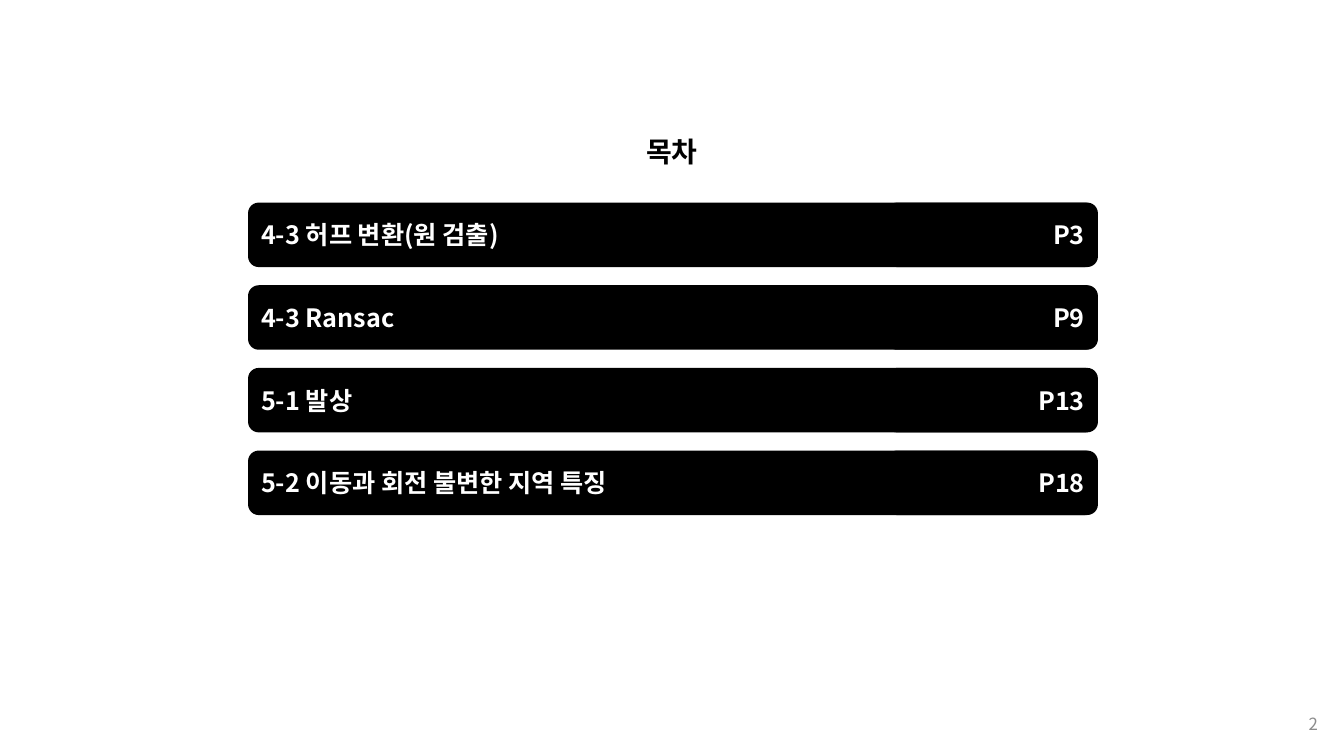
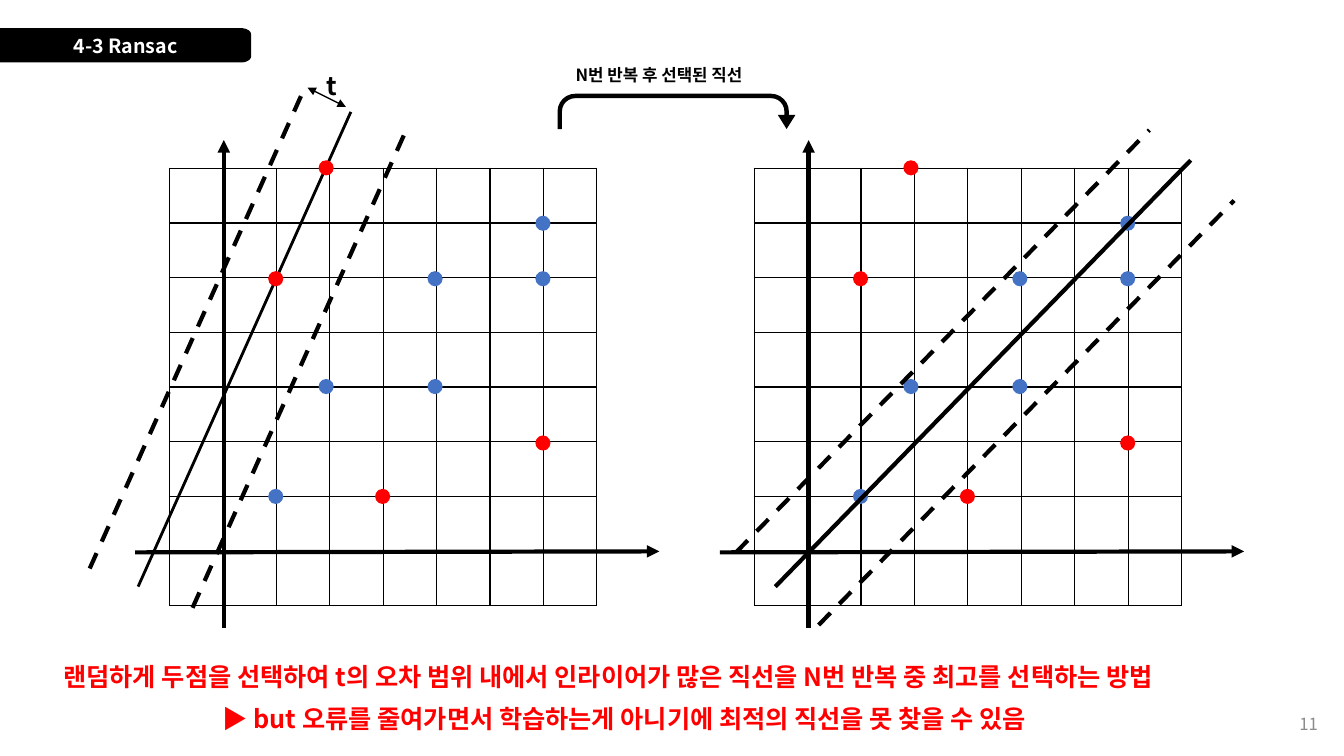
import math
from dataclasses import dataclass

from lxml import etree
from pptx import Presentation, util as u
from pptx.dml.color import RGBColor
from pptx.enum import dml, shapes, text
from pptx.oxml.ns import qn


@dataclass(frozen=True)
class Theme:
    font: str = "Noto Sans CJK KR"
    black: str = "000000"
    white: str = "FFFFFF"
    red: str = "FF0000"
    blue: str = "4472C4"
    grey: str = "8C8C8C"
    title: int = 20
    body: int = 18
    tab: int = 14
    small: int = 12


theme = Theme()
SHAPE = shapes.MSO_SHAPE
ALIGN = text.PP_ALIGN
ANCHOR = text.MSO_ANCHOR


def style(box, words="", size=theme.body, color=theme.black, bold=True,
          align=ALIGN.LEFT, anchor=ANCHOR.MIDDLE, fill=None):
    box.shadow.inherit = False
    box.line.fill.background()
    if fill:
        box.fill.solid()
        box.fill.fore_color.rgb = RGBColor.from_string(fill)
    if words:
        frame = box.text_frame
        frame.word_wrap = True
        frame.vertical_anchor = anchor
        para = frame.paragraphs[0]
        para.alignment = align
        span = para.add_run()
        span.text = words
        span.font.size = u.Pt(size)
        span.font.bold = bold
        span.font.color.rgb = RGBColor.from_string(color)
        span.font.name = theme.font
        etree.SubElement(span.font._element, qn("a:ea"), typeface=theme.font)
    return box


def draw_line(page, start, end, width=3, dashed=False, arrows=()):
    line = page.shapes.add_connector(
        shapes.MSO_CONNECTOR.STRAIGHT, *map(u.Inches, (*start, *end)))
    line.line.width = u.Pt(width)
    line.line.color.rgb = RGBColor.from_string(theme.black)
    if dashed:
        line.line.dash_style = dml.MSO_LINE.DASH
    properties = line._element.spPr
    for arrow in arrows:
        etree.SubElement(properties.find(qn("a:ln")), qn(arrow), type="triangle")
    etree.SubElement(properties, qn("a:effectLst"))


deck = Presentation()
deck.slide_width = u.Inches(13.33)
deck.slide_height = u.Inches(7.5)
contents, ransac = [deck.slides.add_slide(deck.slide_layouts[6]) for _ in range(2)]

bar_left, bar_width, bar_height = u.Inches(2.46), u.Inches(8.41), u.Inches(0.64)
heading = contents.shapes.add_shape(
    SHAPE.ROUNDED_RECTANGLE, bar_left, u.Inches(1.18), bar_width, bar_height)
style(heading, "목차", size=theme.title, align=ALIGN.CENTER, fill=theme.white)

chapters = [
    ("4-3 허프 변환(원 검출)", "P3"),
    ("4-3 Ransac", "P9"),
    ("5-1 발상", "P13"),
    ("5-2 이동과 회전 불변한 지역 특징", "P18"),
]
for row, (chapter, page_label) in enumerate(chapters):
    top = u.Inches(2.01 + 0.82 * row)
    for left, width, words, align in (
        (bar_left, bar_width, chapter, ALIGN.LEFT),
        (u.Inches(8.79), u.Inches(2.1), page_label, ALIGN.RIGHT),
    ):
        bar = contents.shapes.add_shape(
            SHAPE.ROUNDED_RECTANGLE, left, top, width, bar_height)
        style(bar, words, color=theme.white, align=align, fill=theme.black)

tab_right, tab_top, tab_bottom = 2.49, 0.28, 0.62
corner_x, corner_y = 0.1, 0.06
corner = []
for step in range(9):
    angle = math.pi / 2 * step / 8
    corner.append((tab_right - corner_x * (1 - math.sin(angle)),
                   corner_y * (1 - math.cos(angle))))
outline = [(x, tab_top + y) for x, y in corner]
outline += [(x, tab_bottom - y) for x, y in reversed(corner)]
outline.append((0, tab_bottom))
builder = ransac.shapes.build_freeform(0, u.Inches(tab_top))
builder.add_line_segments([(u.Inches(x), u.Inches(y)) for x, y in outline])
style(builder.convert_to_shape(), "4-3 Ransac", size=theme.tab,
      color=theme.white, align=ALIGN.CENTER, fill=theme.black)

grid_size = 8
dot_size = u.Inches(0.15)
dots = {
    theme.blue: [(4.24, 2.69), (5.31, 2.14), (3.16, 3.76),
                 (4.24, 3.76), (5.31, 2.69), (2.66, 4.85)],
    theme.red: [(5.31, 4.32), (3.72, 4.85), (2.66, 2.69), (3.16, 1.59)],
}
fitted_lines = [
    [((1.37, 5.82), (3.48, 1.11), False),
     ((0.89, 5.64), (3, 0.92), True),
     ((1.91, 6.03), (4.02, 1.31), True)],
    [((7.69, 5.82), (11.81, 1.59), False),
     ((7.3, 5.48), (11.4, 1.29), True),
     ((8.12, 6.2), (12.24, 1.99), True)],
]
for shift, lines in zip((0, 5.8), fitted_lines):
    grid = ransac.shapes.add_table(
        grid_size, grid_size, u.Inches(1.68 + shift), u.Inches(1.67),
        u.Inches(4.24), u.Inches(4.34)).table
    grid.first_row = False
    grid.horz_banding = False
    for cell in grid.iter_cells():
        properties = cell._tc.get_or_add_tcPr()
        for side in ("a:lnL", "a:lnR", "a:lnT", "a:lnB"):
            border = etree.SubElement(properties, qn(side), w=str(u.Pt(1)))
            paint = etree.SubElement(border, qn("a:solidFill"))
            etree.SubElement(paint, qn("a:srgbClr"), val=theme.black)
        cell.fill.background()

    draw_line(ransac, (1.34 + shift, 5.48), (6.54 + shift, 5.47), arrows=["a:tailEnd"])
    draw_line(ransac, (2.22 + shift, 6.23), (2.22 + shift, 1.39), arrows=["a:tailEnd"])
    if shift == 0:
        draw_line(ransac, *lines.pop(0))
    for color, places in dots.items():
        for x, y in places:
            dot = ransac.shapes.add_shape(
                SHAPE.OVAL, u.Inches(x + shift), u.Inches(y), dot_size, dot_size)
            style(dot, fill=color)
    for start, end, dashed in lines:
        draw_line(ransac, start, end, dashed=dashed)

draw_line(ransac, (3.05, 0.87), (3.43, 1.06), width=1,
          arrows=["a:headEnd", "a:tailEnd"])

turn = ransac.shapes.add_shape(
    SHAPE.U_TURN_ARROW, *map(u.Inches, (5.53, 0.93, 2.36, 0.35)))
for index, value in enumerate((0.126, 0.25, 0.4, 0.5, 1)):
    turn.adjustments[index] = value
style(turn, fill=theme.black)

captions = [
    ((0.53, 6.51, 12.99, 0.4), theme.body, theme.red,
     "랜덤하게 두점을 선택하여 t의 오차 범위 내에서 인라이어가 많은 직선을 N번 반복 중 최고를 선택하는 방법"),
    ((2.11, 6.93, 9.83, 0.4), theme.body, theme.red,
     "▶ but 오류를 줄여가면서 학습하는게 아니기에 최적의 직선을 못 찾을 수 있음"),
    ((3.14, 0.65, 0.59, 0.4), theme.body, theme.black, "t"),
    ((5.61, 0.59, 2.21, 0.3), theme.small, theme.black, "N번 반복 후 선택된 직선"),
]
for place, size, color, words in captions:
    caption = ransac.shapes.add_textbox(*map(u.Inches, place))
    style(caption, words, size=size, color=color, anchor=ANCHOR.TOP)

for page, number in ((contents, "2"), (ransac, "11")):
    footer = page.shapes.add_textbox(*map(u.Inches, (10.17, 6.98, 3, 0.4)))
    style(footer, number, size=theme.small, color=theme.grey, bold=False,
          align=ALIGN.RIGHT)

deck.save("out.pptx")
